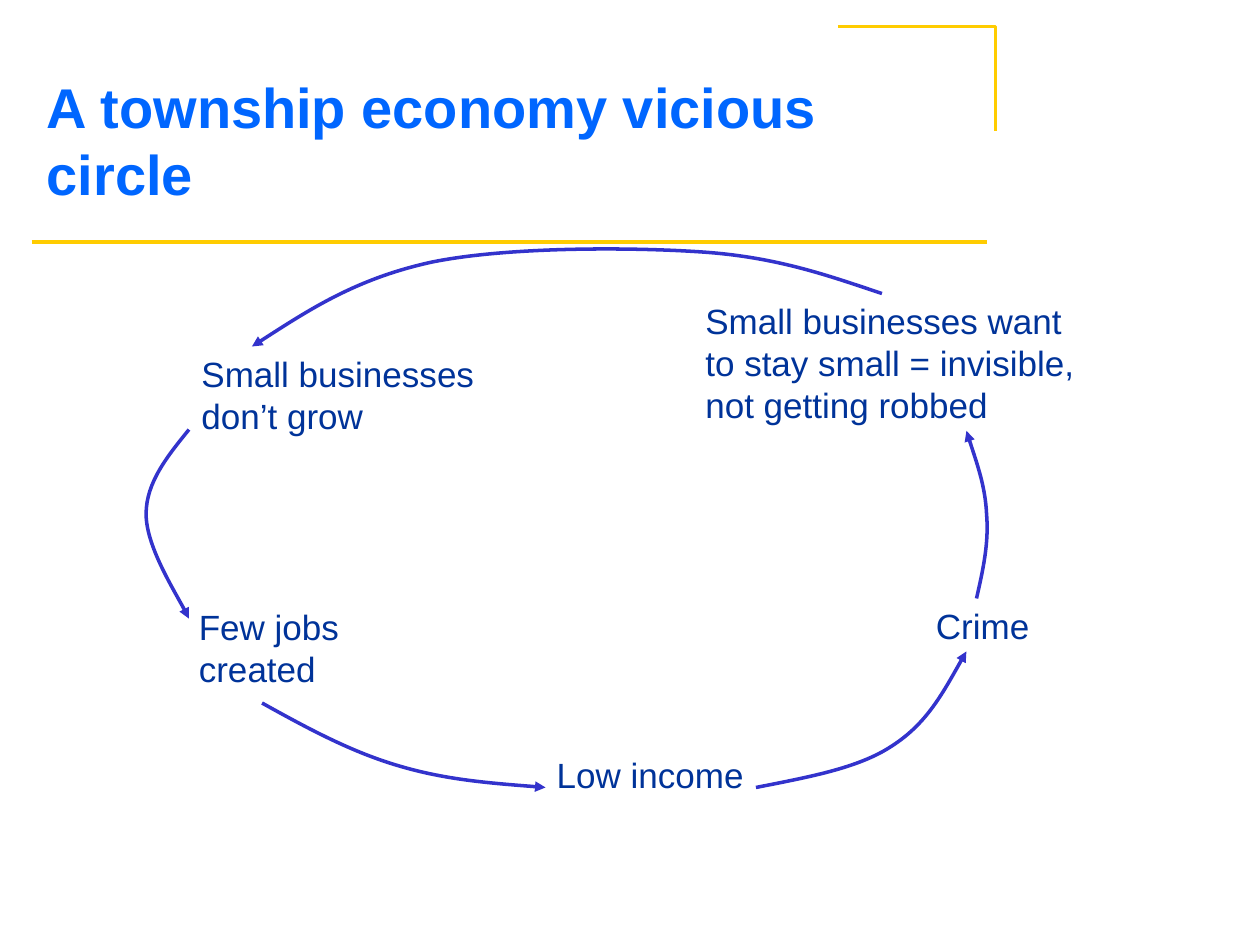
from dataclasses import dataclass

from lxml.etree import SubElement
from pptx import Presentation
from pptx.dml.color import RGBColor
from pptx.enum.shapes import MSO_CONNECTOR
from pptx.enum.text import MSO_ANCHOR, MSO_AUTO_SIZE, PP_ALIGN
from pptx.oxml.ns import qn
from pptx.util import Emu, Pt

PX = 9144
GOLD, TITLE_BLUE, TEXT_BLUE, ARROW_BLUE = "FFCC00", "0066FF", "003399", "3333CC"
Point = tuple[int, int]


@dataclass
class Label:
    x: int
    y: int
    w: int
    h: int
    lines: list[str]


@dataclass
class Arrow:
    start: Point
    controls: list[Point]


LABELS = [
    Label(150, 275, 242, 77, ["Small businesses", "don’t grow"]),
    Label(148, 476, 137, 77, ["Few jobs", "created"]),
    Label(432, 593, 174, 44, ["Low income"]),
    Label(733, 475, 100, 44, ["Crime"]),
    Label(550, 233, 327, 110,
          ["Small businesses want", "to stay small = invisible,", "not getting robbed"]),
]

ARROWS = [
    Arrow((150, 341), [(133, 362), (116, 383), (116, 408),
                       (116, 433), (144, 478), (150, 491)]),
    Arrow((208, 558), [(244, 578), (279, 597), (317, 608),
                       (354, 619), (394, 622), (433, 625)]),
    Arrow((600, 625), [(640, 617), (681, 610), (708, 592),
                       (736, 574), (751, 545), (767, 517)]),
    Arrow((775, 475), [(780, 453), (785, 431), (783, 408),
                       (782, 386), (774, 364), (767, 342)]),
    Arrow((700, 233), [(658, 219), (617, 204), (557, 200),
                       (498, 196), (402, 196), (343, 208),
                       (283, 221), (242, 248), (200, 275)]),
]


def px(*values: int) -> list[Emu]:
    return [Emu(v * PX) for v in values]


def color(value: str) -> RGBColor:
    return RGBColor.from_string(value)


def set_attrs(obj, values: dict) -> None:
    for name, value in values.items():
        setattr(obj, name, value)


def place(sp, x: int, y: int, w: int, h: int) -> None:
    set_attrs(sp, dict(zip(("left", "top", "width", "height"), px(x, y, w, h))))


def write(tf, lines: list[str], size: int, fill: str, bold: bool = False) -> None:
    set_attrs(tf, {"word_wrap": True, "auto_size": MSO_AUTO_SIZE.NONE})
    for i, line in enumerate(lines):
        p = tf.paragraphs[0] if i == 0 else tf.add_paragraph()
        p.alignment = PP_ALIGN.LEFT
        r = p.add_run()
        r.text = line
        set_attrs(r.font, {"name": "Arial", "size": Pt(size), "bold": bold})
        r.font.color.rgb = color(fill)


def style_line(sp, stroke: str) -> None:
    sp.line.color.rgb = color(stroke)
    sp.line.width = Pt(2)


def add_outline(s, points: list[Point], stroke: str):
    builder = s.shapes.build_freeform(*px(*points[0]), scale=1.0)
    builder.add_line_segments([px(*pt) for pt in points[1:]], close=False)
    sp = builder.convert_to_shape()
    sp.fill.background()
    style_line(sp, stroke)
    sp.shadow.inherit = False
    return sp


def add_arrow(s, arrow: Arrow) -> None:
    sp = add_outline(s, [arrow.start, *arrow.controls], ARROW_BLUE)
    spPr = sp._element.spPr
    outline = next(spPr.iter(qn("a:path")))
    segments = outline.findall(qn("a:lnTo"))
    for i in range(0, len(segments), 3):
        curve = SubElement(outline, qn("a:cubicBezTo"))
        for segment in segments[i:i + 3]:
            curve.append(segment[0])
            outline.remove(segment)
    SubElement(spPr.find(qn("a:ln")), qn("a:tailEnd"), type="triangle")


def add_label(s, label: Label) -> None:
    sp = s.shapes.add_textbox(*px(label.x, label.y, label.w, label.h))
    write(sp.text_frame, label.lines, 20, TEXT_BLUE)


def add_rule(s, start: Point, end: Point) -> None:
    cx = s.shapes.add_connector(MSO_CONNECTOR.STRAIGHT, *px(*start, *end))
    style_line(cx, GOLD)
    SubElement(cx._element.spPr, qn("a:effectLst"))


def add_title(s, text: str) -> None:
    sp = s.shapes.title
    place(sp, 27, 36, 748, 150)
    sp.text_frame.vertical_anchor = MSO_ANCHOR.MIDDLE
    write(sp.text_frame, [text], 32, TITLE_BLUE, bold=True)


def main() -> None:
    prs = Presentation()
    prs.slide_width, prs.slide_height = px(1000, 750)
    s = prs.slides.add_slide(prs.slide_layouts[5])
    add_rule(s, (25, 192), (783, 192))
    add_outline(s, [(665, 21), (790, 21), (790, 104)], GOLD)
    add_title(s, "A township economy vicious circle")
    for label in LABELS:
        add_label(s, label)
    for arrow in ARROWS:
        add_arrow(s, arrow)
    prs.save("out.pptx")


if __name__ == "__main__":
    main()
